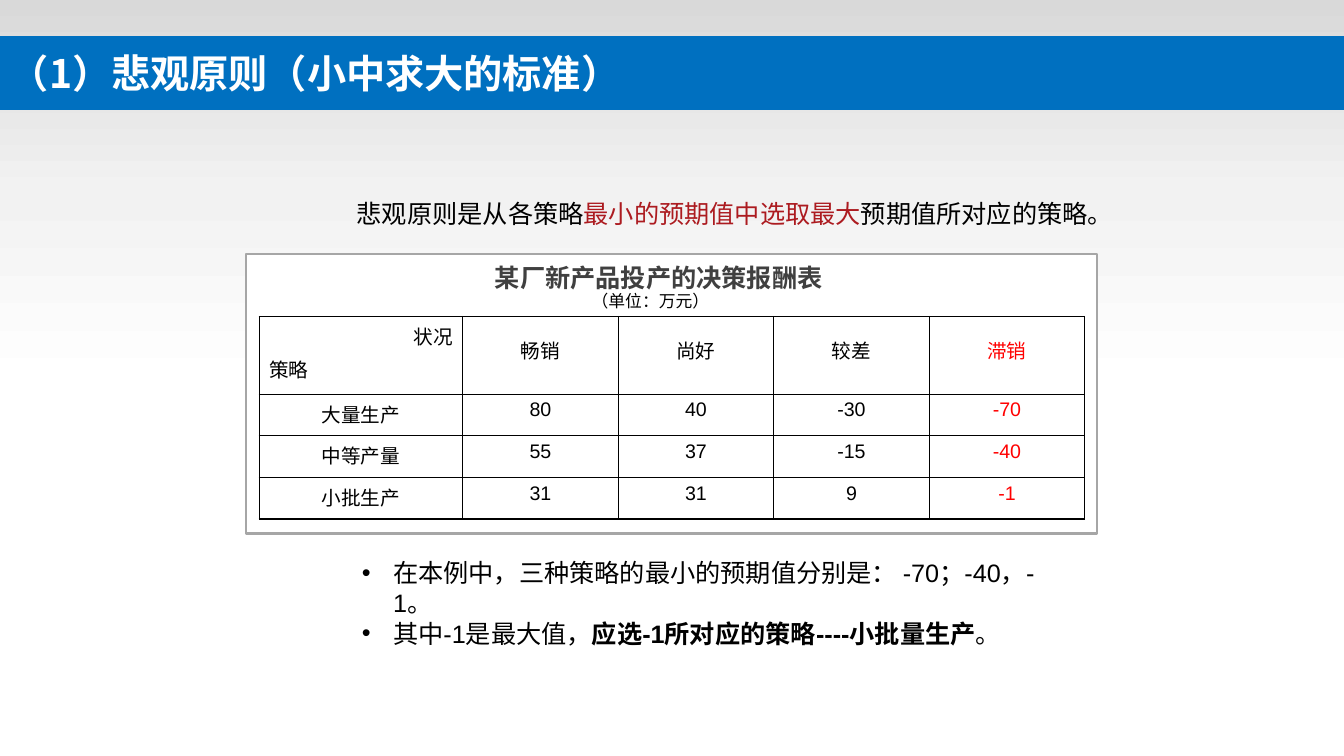
from copy import deepcopy
from dataclasses import dataclass

from lxml.etree import SubElement
from pptx import Presentation
from pptx.dml.color import RGBColor
from pptx.enum.shapes import MSO_SHAPE
from pptx.enum.text import MSO_ANCHOR, MSO_AUTO_SIZE, PP_ALIGN
from pptx.oxml.ns import qn
from pptx.util import Inches, Pt


@dataclass(frozen=True)
class Theme:
    latin: str = "Arial"
    cjk: str = "Noto Sans CJK SC"
    black: str = "000000"
    white: str = "FFFFFF"
    bar: str = "0070C0"
    accent: str = "AC1B20"
    worst: str = "FF0000"
    heading: str = "404040"
    frame: str = "A6A6A6"
    backdrop: tuple = ((0, "D9D9D9"), (0.5, "F2F2F2"), (1, "FFFFFF"))
    title: int = 28
    body: int = 18
    cell: int = 14
    unit: int = 12


T = Theme()

HEADERS = ["畅销", "尚好", "较差", "滞销"]
PAYOFFS = [
    ("大量生产", 80, 40, -30, -70),
    ("中等产量", 55, 37, -15, -40),
    ("小批生产", 31, 31, 9, -1),
]


def rgb(color):
    return RGBColor.from_string(color)


def add_run(p, text, size, color=T.black, bold=False, latin=T.latin):
    r = p.add_run()
    r.text = text
    r.font.size = Pt(size)
    r.font.bold = bold
    r.font.name = latin
    r.font.color.rgb = rgb(color)
    SubElement(r._r.get_or_add_rPr(), qn("a:ea"), typeface=T.cjk)


def add_rect(s, x, y, w, h, fill=None, line=None):
    sp = s.shapes.add_shape(MSO_SHAPE.RECTANGLE, Inches(x), Inches(y), Inches(w), Inches(h))
    sp.shadow.inherit = False
    if fill:
        sp.fill.solid()
        sp.fill.fore_color.rgb = rgb(fill)
    if line:
        sp.line.color.rgb = rgb(line)
        sp.line.width = Pt(2)
    else:
        sp.line.fill.background()
    return sp


def add_text(s, x, y, w, h, wrap=True):
    tf = s.shapes.add_textbox(Inches(x), Inches(y), Inches(w), Inches(h)).text_frame
    tf.word_wrap = wrap
    tf.auto_size = MSO_AUTO_SIZE.SHAPE_TO_FIT_TEXT
    return tf


def add_backdrop(s, x, y, w, h):
    sp = add_rect(s, x, y, w, h)
    sp.fill.gradient()
    sp.fill.gradient_angle = 270
    stops = sp._element.spPr.find(qn("a:gradFill")).find(qn("a:gsLst"))
    stops.insert(1, deepcopy(stops[0]))
    for stop, (position, color) in zip(sp.fill.gradient_stops, T.backdrop):
        stop.position = position
        stop.color.rgb = rgb(color)


def add_title(s, x, y, w, h):
    tf = add_rect(s, x, y, w, h, T.bar).text_frame
    tf.word_wrap = True
    tf.vertical_anchor = MSO_ANCHOR.MIDDLE
    p = tf.paragraphs[0]
    p.alignment = PP_ALIGN.LEFT
    add_run(p, "（1）悲观原则（小中求大的标准）", T.title, T.white, True, T.cjk)


def add_principle(s, x, y, w, h):
    p = add_text(s, x, y, w, h).paragraphs[0]
    add_run(p, "悲观原则是从各策略", T.body)
    add_run(p, "最小的预期值中选取最大", T.body, T.accent)
    add_run(p, "预期值所对应的策略。", T.body)


def style_cell(cell):
    tcPr = cell._tc.get_or_add_tcPr()
    for side in ("lnL", "lnR", "lnT", "lnB"):
        ln = SubElement(tcPr, qn(f"a:{side}"), w=str(Pt(1)))
        SubElement(SubElement(ln, qn("a:solidFill")), qn("a:srgbClr"), val=T.black)
    cell.fill.background()


def add_payoff_table(s, x, y, w, h):
    rows, cols = len(PAYOFFS) + 1, len(HEADERS) + 1
    table = s.shapes.add_table(rows, cols, Inches(x), Inches(y), Inches(w), Inches(h)).table
    table.first_row = table.horz_banding = False
    label_w, header_h = 2.02, 0.77
    for i, col in enumerate(table.columns):
        col.width = Inches(label_w if i == 0 else (w - label_w) / (cols - 1))
    for i, row in enumerate(table.rows):
        row.height = Inches(header_h if i == 0 else (h - header_h) / (rows - 1))
    for cell in table.iter_cells():
        style_cell(cell)

    tf = table.cell(0, 0).text_frame
    p = tf.paragraphs[0]
    p.alignment = PP_ALIGN.RIGHT
    add_run(p, "状况", T.cell)
    p = tf.add_paragraph()
    p.space_before = Pt(3)
    add_run(p, "策略", T.cell)

    for i, values in enumerate([("", *HEADERS), *PAYOFFS]):
        for j, value in enumerate(values):
            if (i, j) == (0, 0):
                continue
            p = table.cell(i, j).text_frame.paragraphs[0]
            p.alignment = PP_ALIGN.CENTER
            if i == 0:
                p.line_spacing = 1.5
            add_run(p, str(value), T.cell, T.worst if j == cols - 1 else T.black)


def add_payoff_panel(s, x, y, w, h):
    add_rect(s, x, y, w, h, T.white, T.frame)
    add_payoff_table(s, x + 0.13, y + 0.62, 8.19, 2.01)
    tf = add_text(s, x + 2.37, y + 0.03, 3.48, 0.4, wrap=False)
    add_run(tf.paragraphs[0], "某厂新产品投产的决策报酬表", T.body, T.heading, True)
    tf = add_text(s, x + 3.33, y + 0.32, 1.38, 0.3, wrap=False)
    add_run(tf.paragraphs[0], "（单位：万元）", T.unit)


def add_conclusions(s, x, y, w, h):
    tf = add_text(s, x, y, w, h)
    points = [
        [("在本例中，三种策略的最小的预期值分别是： -70；-40，-1。", False)],
        [("其中-1是最大值，", False), ("应选-1所对应的策略----小批量生产", True), ("。", False)],
    ]
    for i, runs in enumerate(points):
        p = tf.add_paragraph() if i else tf.paragraphs[0]
        pPr = p._p.get_or_add_pPr()
        pPr.set("marL", str(Inches(0.31)))
        pPr.set("indent", str(-Inches(0.31)))
        SubElement(pPr, qn("a:buFont"), typeface=T.latin)
        SubElement(pPr, qn("a:buChar"), char="•")
        for text, bold in runs:
            add_run(p, text, T.body, bold=bold)


def main():
    prs = Presentation()
    prs.slide_width, prs.slide_height = Inches(13.33), Inches(7.5)
    s = prs.slides.add_slide(prs.slide_layouts[6])
    add_backdrop(s, 0, 0, 13.33, 3.83)
    add_title(s, 0, 0.36, 13.33, 0.73)
    add_principle(s, 3.44, 1.92, 8.02, 0.4)
    add_payoff_panel(s, 2.44, 2.52, 8.44, 2.77)
    add_conclusions(s, 3.49, 5.48, 7.22, 0.71)
    prs.save("out.pptx")


if __name__ == "__main__":
    main()
